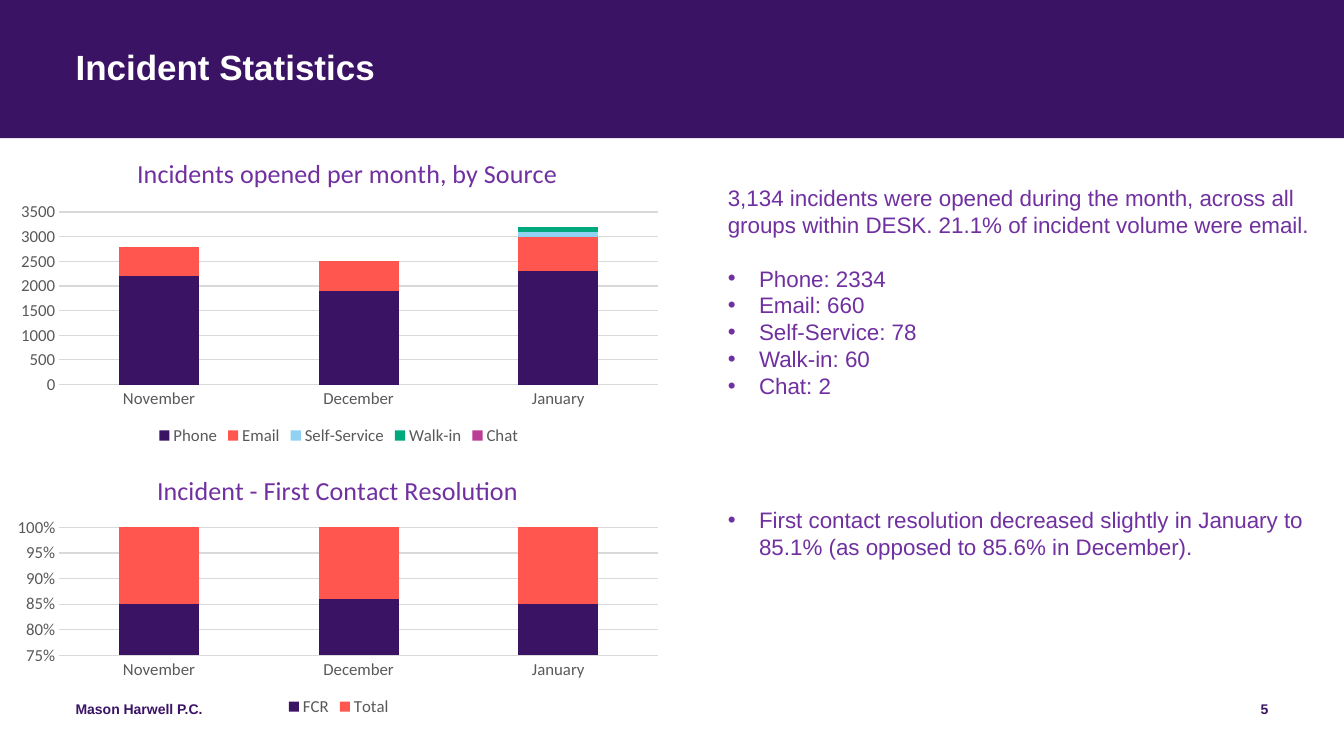
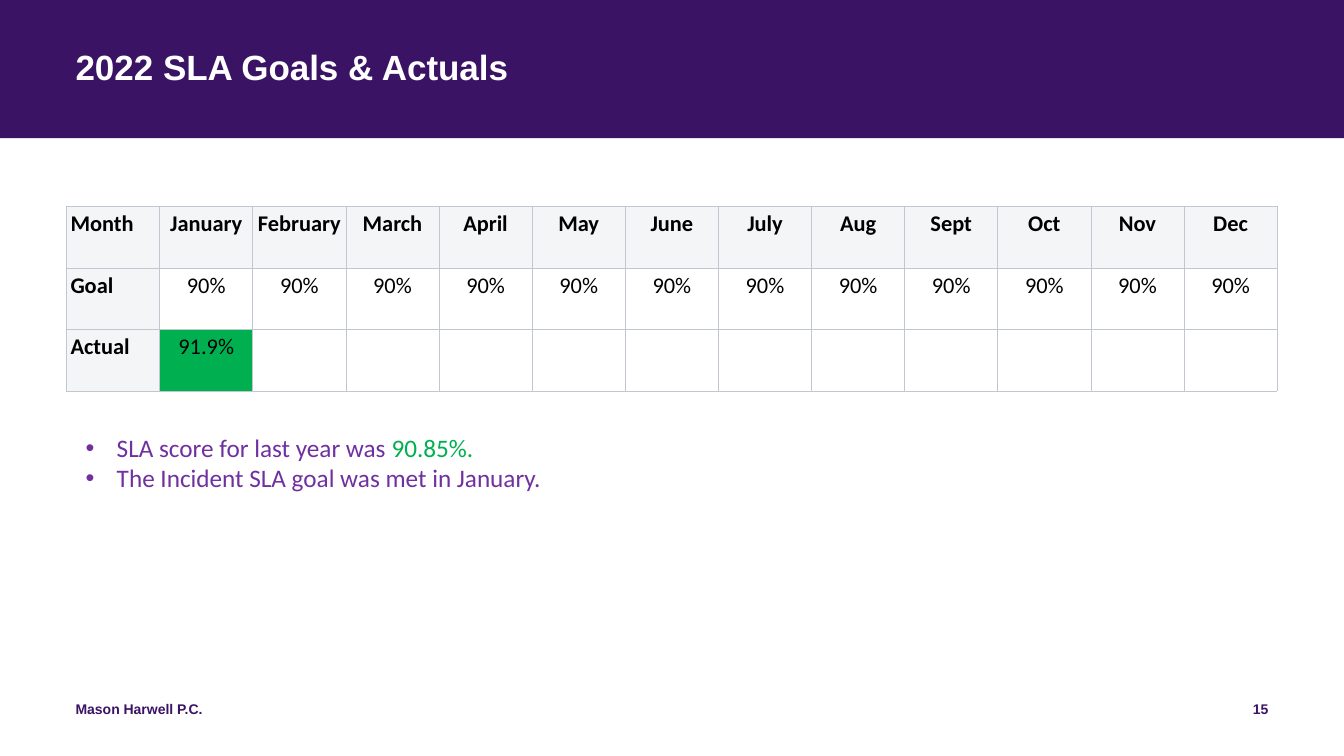
"""Builds two service desk slides: incident statistics and SLA results."""
from lxml import etree
from pptx import Presentation
from pptx.chart.data import CategoryChartData
from pptx.dml.color import RGBColor
from pptx.enum.chart import XL_CHART_TYPE, XL_LEGEND_POSITION, XL_TICK_MARK
from pptx.enum.shapes import MSO_SHAPE
from pptx.enum.text import PP_ALIGN
from pptx.oxml.ns import qn
from pptx.util import Inches, Pt

STACKED = XL_CHART_TYPE.COLUMN_STACKED
STACKED_100 = XL_CHART_TYPE.COLUMN_STACKED_100
LEGEND_BOTTOM = XL_LEGEND_POSITION.BOTTOM
NO_TICK = XL_TICK_MARK.NONE
RECTANGLE = MSO_SHAPE.RECTANGLE
LEFT, CENTER, RIGHT = PP_ALIGN.LEFT, PP_ALIGN.CENTER, PP_ALIGN.RIGHT

COLORS = {
    "brand": "3B1365", "accent": "7030A0", "white": "FFFFFF", "black": "000000",
    "green": "00B050", "header": "F4F5F7", "border": "C1C7D0",
    "axis": "595959", "grid": "D9D9D9",
    "coral": "FF5750", "sky": "91D2F2", "teal": "00A87E", "magenta": "BC3D95",
}
SERIES_COLORS = ["brand", "coral", "sky", "teal", "magenta"]
HEADING_FONT, DATA_FONT = "Arial", "Calibri"
FIRM = "Mason Harwell P.C."
SLIDE_WIDTH, SLIDE_HEIGHT = 13.33, 7.5
MARGIN = 0.75
CHART_LEFT, CHART_WIDTH = 0.06, 6.6
QUARTER = ["November", "December", "January"]
MONTHS = ["January", "February", "March", "April", "May", "June",
          "July", "Aug", "Sept", "Oct", "Nov", "Dec"]


def rgb(name):
    """Return the named colour."""
    return RGBColor.from_string(COLORS[name])


def inches(*lengths):
    """Convert lengths to Inches."""
    return [Inches(length) for length in lengths]


def style_font(font, size, color, name=DATA_FONT, bold=False):
    """Set the size, colour, typeface and weight of a font."""
    font.size, font.name, font.bold = Pt(size), name, bold
    font.color.rgb = rgb(color)


def add_run(paragraph, text, size=16, color="accent", font=HEADING_FONT, bold=False):
    """Add formatted text to a paragraph."""
    run = paragraph.add_run()
    run.text = text
    style_font(run.font, size, color, font, bold)


def add_bullet(paragraph):
    """Give a paragraph a hanging bullet."""
    properties = paragraph._p.get_or_add_pPr()
    properties.set("marL", str(Inches(0.31)))
    properties.set("indent", str(-Inches(0.31)))
    etree.SubElement(properties, qn("a:buFont")).set("typeface", "Arial")
    etree.SubElement(properties, qn("a:buChar")).set("char", "•")


def add_text_frame(slide, box, inset=True):
    """Add a wrapping text box and return its frame."""
    frame = slide.shapes.add_textbox(*inches(*box)).text_frame
    frame.word_wrap = True
    if not inset:
        frame.margin_left = frame.margin_right = 0
        frame.margin_top = frame.margin_bottom = 0
    return frame


def add_label(slide, box, text, align=LEFT, line_spacing=None, **text_format):
    """Add a bold one-line label without insets."""
    paragraph = add_text_frame(slide, box, inset=False).paragraphs[0]
    paragraph.alignment = align
    if line_spacing:
        paragraph.line_spacing = line_spacing
    add_run(paragraph, text, bold=True, **text_format)


def add_paragraphs(slide, box, paragraphs, **text_format):
    """Add a text box from (gap before, bulleted, coloured parts) tuples."""
    frame = add_text_frame(slide, box)
    for index, (gap, bulleted, parts) in enumerate(paragraphs):
        paragraph = frame.add_paragraph() if index else frame.paragraphs[0]
        paragraph.space_before = Pt(gap)
        if bulleted:
            add_bullet(paragraph)
        for text, color in parts:
            add_run(paragraph, text, color=color, **text_format)


def add_base_slide(presentation, title, number):
    """Add a slide with the title band and footer."""
    slide = presentation.slides.add_slide(presentation.slide_layouts[6])
    band = slide.shapes.add_shape(RECTANGLE, *inches(0, 0, SLIDE_WIDTH, 1.37))
    band.shadow.inherit = False
    band.fill.solid()
    band.fill.fore_color.rgb = rgb("brand")
    band.line.fill.background()
    add_label(slide, (MARGIN, 0.5, 11.83, 0.81), title, line_spacing=0.9,
              size=25, color="white")
    add_label(slide, (MARGIN, 6.95, 4.5, 0.4), FIRM, size=10, color="brand")
    add_label(slide, (9.58, 6.95, 3, 0.4), str(number), align=RIGHT,
              size=10, color="brand")
    return slide


def set_layout(element, **fractions):
    """Place a chart part by fractions of the chart size."""
    layout = element.find(qn("c:layout"))
    if layout is None:
        layout = etree.Element(qn("c:layout"))
        element.insert(0, layout)
    manual = etree.SubElement(layout, qn("c:manualLayout"))
    if "w" in fractions:
        etree.SubElement(manual, qn("c:layoutTarget")).set("val", "inner")
    for mode in ("xMode", "yMode"):
        etree.SubElement(manual, qn(f"c:{mode}")).set("val", "edge")
    for key, value in fractions.items():
        etree.SubElement(manual, qn(f"c:{key}")).set("val", str(value))


def style_axes(chart, number_format):
    """Format the category and value axes."""
    for axis in (chart.category_axis, chart.value_axis):
        axis.major_tick_mark = axis.minor_tick_mark = NO_TICK
        style_font(axis.tick_labels.font, 12, "axis")
    category_line = chart.category_axis.format.line
    value_axis = chart.value_axis
    value_axis.format.line.fill.background()
    value_axis.has_major_gridlines = True
    for line in (category_line, value_axis.major_gridlines.format.line):
        line.color.rgb = rgb("grid")
        line.width = Pt(0.75)
    value_axis.tick_labels.number_format = number_format
    value_axis.tick_labels.number_format_is_linked = False


def add_column_chart(slide, kind, top, height, title, series, number_format,
                     title_place, plot_place):
    """Add a stacked column chart and return it."""
    data = CategoryChartData()
    data.categories = QUARTER
    for name, values in series.items():
        data.add_series(name, values)
    box = inches(CHART_LEFT, top, CHART_WIDTH, height)
    chart = slide.shapes.add_chart(kind, *box, data).chart
    style_font(chart.font, 10, "black")
    add_run(chart.chart_title.text_frame.paragraphs[0], title,
            size=18.6, font=DATA_FONT)
    set_layout(chart.chart_title._element, **title_place)
    set_layout(chart._chartSpace.chart.plotArea, **plot_place)
    chart.has_legend = True
    chart.legend.position = LEGEND_BOTTOM
    chart.legend.include_in_layout = False
    style_font(chart.legend.font, 12, "axis")
    style_axes(chart, number_format)
    plot = chart.plots[0]
    plot.gap_width, plot.overlap, plot.vary_by_categories = 150, 100, False
    for column, color in zip(plot.series, SERIES_COLORS):
        column.format.fill.solid()
        column.format.fill.fore_color.rgb = rgb(color)
    return chart


def set_borders(cell):
    """Draw a thin border around a cell."""
    properties = cell._tc.get_or_add_tcPr()
    for index, side in enumerate(("lnL", "lnR", "lnT", "lnB")):
        line = etree.Element(qn(f"a:{side}"), w=str(Pt(0.5)))
        fill = etree.SubElement(line, qn("a:solidFill"))
        etree.SubElement(fill, qn("a:srgbClr")).set("val", COLORS["border"])
        properties.insert(index, line)


def fill_cell(cell, text, is_header, is_first, fill):
    """Write and format one table cell."""
    cell.margin_left = cell.margin_right = Inches(0.04)
    cell.margin_top = cell.margin_bottom = Inches(0.04)
    cell.fill.solid()
    cell.fill.fore_color.rgb = rgb(fill)
    set_borders(cell)
    if text:
        paragraph = cell.text_frame.paragraphs[0]
        paragraph.alignment = LEFT if is_first else CENTER
        add_run(paragraph, text, color="black", font=DATA_FONT, bold=is_header)


def add_goal_table(slide, box, rows):
    """Add the table of monthly goals and actuals."""
    table = slide.shapes.add_table(len(rows), len(rows[0]), *inches(*box)).table
    table.first_row = table.horz_banding = False
    for column in table.columns:
        column.width = Inches(box[2] / len(rows[0]))
    for row_index, row in enumerate(rows):
        for column_index, text in enumerate(row):
            is_first = column_index == 0
            is_header = is_first or row_index == 0
            is_met = row_index == 2 and text and not is_first
            fill = "header" if is_header else "green" if is_met else "white"
            fill_cell(table.cell(row_index, column_index), text,
                      is_header, is_first, fill)


def build_incident_slide(presentation):
    """Build the incident statistics slide."""
    slide = add_base_slide(presentation, "Incident Statistics", 5)
    sources = {
        "Phone": [2200, 1900, 2300],
        "Email": [600, 600, 700],
        "Self-Service": [0, 0, 100],
        "Walk-in": [0, 0, 100],
        "Chat": [0, 0, 0],
    }
    add_column_chart(slide, STACKED, 1.4, 3.06,
                     "Incidents opened per month, by Source", sources, "General",
                     {"x": 0.19, "y": 0.03},
                     {"x": 0.08, "y": 0.23, "w": 0.9, "h": 0.56})
    resolution = {"FCR": [85, 86, 85], "Total": [15, 14, 15]}
    chart = add_column_chart(slide, STACKED_100, 4.56, 2.59,
                             "Incident - First Contact Resolution", resolution, "0%",
                             {"x": 0.22, "y": 0.03},
                             {"x": 0.08, "y": 0.26, "w": 0.9, "h": 0.49})
    axis = chart.value_axis
    axis.minimum_scale, axis.maximum_scale, axis.major_unit = 0.75, 1, 0.05
    summary = ("3,134 incidents were opened during the month, across all groups "
               "within DESK. 21.1% of incident volume were email.")
    counts = ["Phone: 2334", "Email: 660", "Self-Service: 78", "Walk-in: 60", "Chat: 2"]
    outcome = ("First contact resolution decreased slightly in January to 85.1% "
               "(as opposed to 85.6% in December).")
    bullets = [(0 if index else 19, True, [(text, "accent")])
               for index, text in enumerate(counts)]
    paragraphs = [(0, False, [(summary, "accent")]), *bullets,
                  (76.5, True, [(outcome, "accent")])]
    add_paragraphs(slide, (7.12, 1.78, 6.15, 4.95), paragraphs)


def build_sla_slide(presentation):
    """Build the SLA goals and actuals slide."""
    slide = add_base_slide(presentation, "2022 SLA Goals & Actuals", 15)
    count = len(MONTHS)
    rows = [["Month", *MONTHS], ["Goal"] + ["90%"] * count,
            ["Actual", "91.9%"] + [""] * (count - 1)]
    add_goal_table(slide, (0.66, 2.05, 12.01, 1.83), rows)
    paragraphs = [
        (0, True, [("SLA score for last year was ", "accent"), ("90.85%.", "green")]),
        (0, True, [("The Incident SLA goal was met in January.", "accent")]),
    ]
    add_paragraphs(slide, (MARGIN, 4.24, 11.83, 0.71), paragraphs,
                   size=18, font=DATA_FONT)


def main():
    """Build and save the presentation."""
    presentation = Presentation()
    presentation.slide_width = Inches(SLIDE_WIDTH)
    presentation.slide_height = Inches(SLIDE_HEIGHT)
    build_incident_slide(presentation)
    build_sla_slide(presentation)
    presentation.save("out.pptx")


if __name__ == "__main__":
    main()
